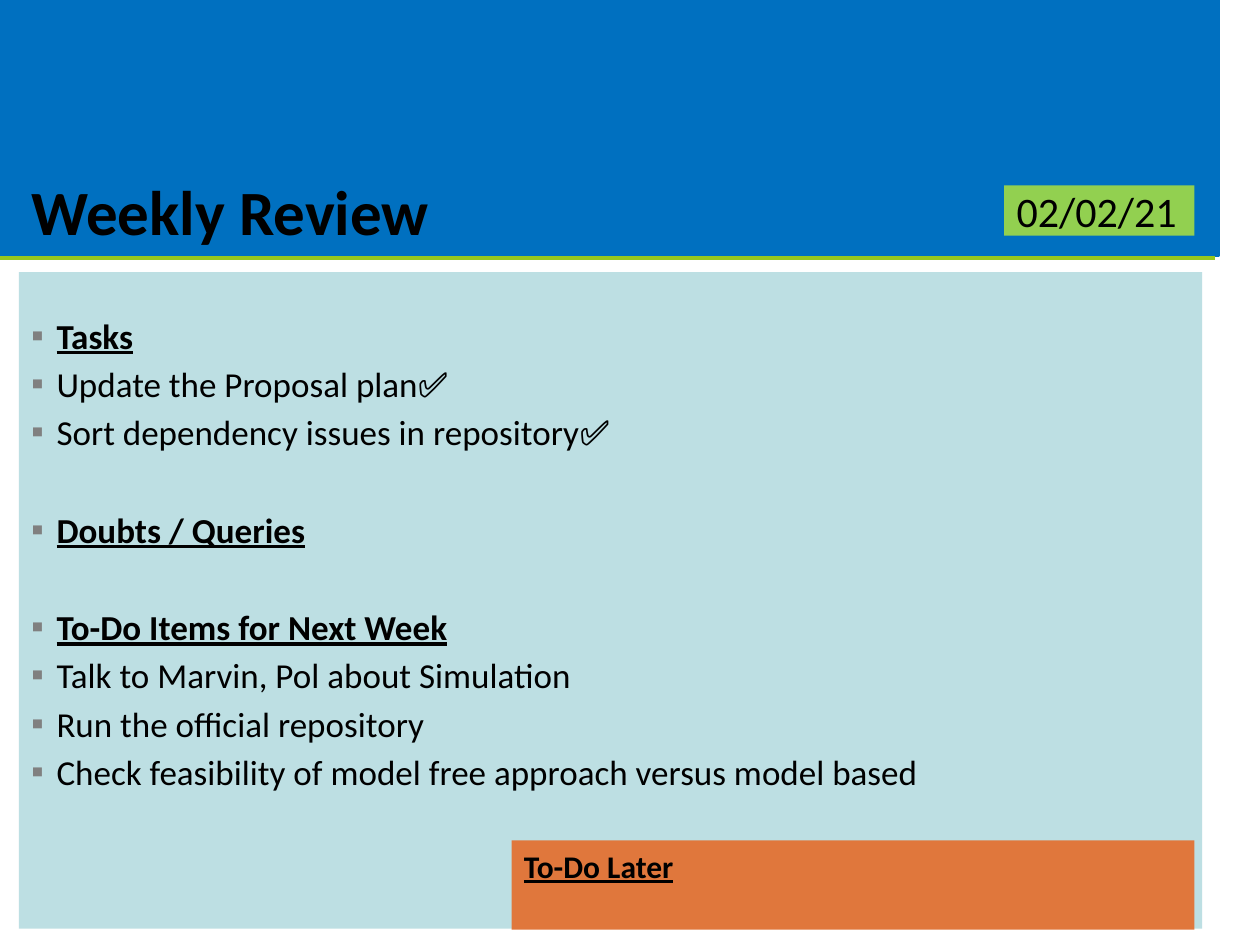
import pptx
import pptx.dml.color
import pptx.enum.shapes
import pptx.enum.text
import pptx.oxml
import pptx.oxml.ns
import pptx.util
from dataclasses import dataclass

Pt = pptx.util.Pt
Anchor = pptx.enum.text.MSO_ANCHOR


@dataclass(frozen=True)
class Theme:
    font: str = "Calibri"
    ink: str = "000000"
    blue: str = "0070C0"
    lime: str = "96C71E"
    green: str = "92D050"
    pale: str = "BDDFE3"
    orange: str = "E0773C"
    bullet: str = "808080"
    title: int = 36
    date: int = 24
    body: int = 20
    later: int = 18


THEME = Theme()
GROUPS = [
    ("Tasks", ["Update the Proposal plan✅", "Sort dependency issues in repository✅"]),
    ("Doubts / Queries", []),
    ("To-Do Items for Next Week", [
        "Talk to Marvin, Pol about Simulation",
        "Run the official repository",
        "Check feasibility of model free approach versus model based",
    ]),
]


def color(code):
    return pptx.dml.color.RGBColor.from_string(code)


def style(para, size, bold=False, under=False):
    for run in para.runs:
        font = run.font
        font.name, font.size = THEME.font, Pt(size)
        font.bold, font.underline = bold, under
        font.color.rgb = color(THEME.ink)


def panel(slide, box, fill, anchor=Anchor.MIDDLE):
    shape = slide.shapes.add_textbox(*map(Pt, box))
    shape.fill.solid()
    shape.fill.fore_color.rgb = color(fill)
    frame = shape.text_frame
    frame.word_wrap = True
    frame.vertical_anchor = anchor
    return frame


def label(slide, box, fill, text, size, bold=False):
    frame = panel(slide, box, fill)
    frame.text = text
    style(frame.paragraphs[0], size, bold)


def banner(slide, box):
    left, top, width, height = box
    band = slide.shapes.add_shape(
        pptx.enum.shapes.MSO_SHAPE.RECTANGLE, *map(Pt, box))
    band.shadow.inherit = False
    band.fill.solid()
    band.fill.fore_color.rgb = color(THEME.blue)
    band.line.color.rgb = color(THEME.blue)
    band.line.width = Pt(1.25)
    row = top + height - 40.3
    label(slide, (left + 10.8, row, 262.8, 28.8), THEME.blue,
          "Weekly Review", THEME.title, True)
    label(slide, (left + 573.8, row, 108.7, 28.8), THEME.green,
          "02/02/21", THEME.date)
    edge = top + height + 1.4
    rule = slide.shapes.add_connector(
        pptx.enum.shapes.MSO_CONNECTOR.STRAIGHT,
        Pt(left), Pt(edge), Pt(left + width - 2.2), Pt(edge))
    rule.line.color.rgb = color(THEME.lime)
    rule.line.width = Pt(2.25)
    props = rule._element.spPr
    props.append(pptx.oxml.parse_xml(
        f'<a:effectLst {pptx.oxml.ns.nsdecls("a")}/>'))


def mark(para):
    props = para._p.get_or_add_pPr()
    props.set("marL", str(Pt(14.4)))
    props.set("indent", str(-Pt(14.4)))
    space = pptx.oxml.ns.nsdecls("a")
    for tag in (
        f'<a:buClr {space}><a:srgbClr val="{THEME.bullet}"/></a:buClr>',
        f'<a:buFont {space} typeface="{THEME.font}"/>',
        f'<a:buChar {space} char="▪"/>',
    ):
        props.append(pptx.oxml.parse_xml(tag))


def review(slide, box):
    frame = panel(slide, box, THEME.pale, Anchor.TOP)
    frame.margin_top = Pt(24)
    gap, pitch = 3.6, 28
    for index, (head, items) in enumerate(GROUPS):
        for rank, text in enumerate([head, *items]):
            first = rank == 0
            para = frame.add_paragraph() if index or rank else frame.paragraphs[0]
            para.text = text
            style(para, THEME.body, first, first)
            if index or rank:
                para.space_before = Pt(gap + pitch if first else gap)
            mark(para)


def later(slide, box):
    frame = panel(slide, box, THEME.orange, Anchor.TOP)
    frame.text = "To-Do Later"
    style(frame.paragraphs[0], THEME.later, True, True)


def main():
    deck = pptx.Presentation()
    deck.slide_width, deck.slide_height = Pt(720), Pt(540)
    slide = deck.slides.add_slide(deck.slide_layouts[6])
    banner(slide, (0, 0, 696.3, 146.2))
    review(slide, (10.8, 155.5, 676.1, 375.1))
    later(slide, (292.3, 480.2, 390.2, 51.1))
    deck.save("out.pptx")


if __name__ == "__main__":
    main()
